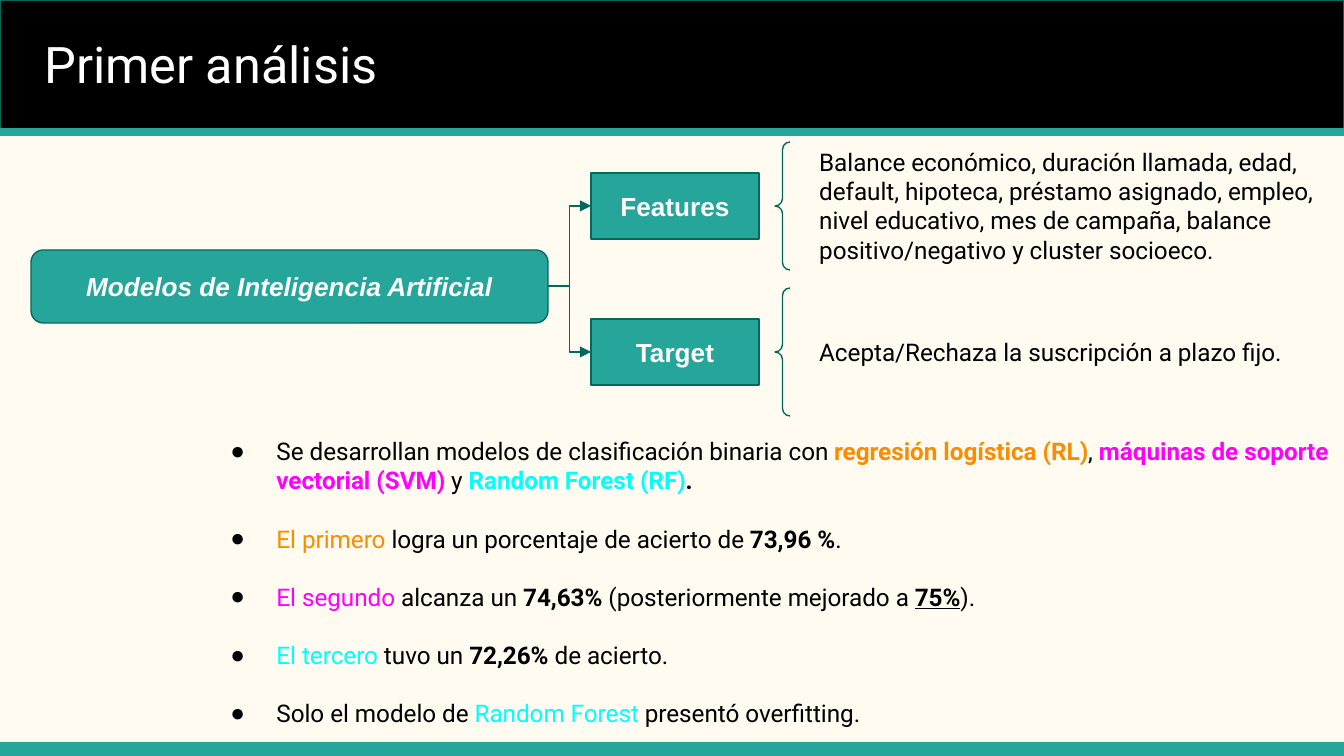
import pptx
import pptx.dml.color
import pptx.enum.shapes
import pptx.enum.text
import pptx.oxml
import pptx.oxml.ns
import pptx.util
from dataclasses import dataclass

SHAPE = pptx.enum.shapes.MSO_SHAPE
ANCHOR = pptx.enum.text.MSO_ANCHOR
ALIGN = pptx.enum.text.PP_ALIGN
PX_PER_INCH = 134.4


@dataclass(frozen=True)
class Theme:
    background: str = "FFFBF0"
    teal: str = "26A69A"
    outline: str = "00695C"
    black: str = "000000"
    white: str = "FFFFFF"
    logistic: str = "FB8C00"
    svm: str = "FF00FF"
    forest: str = "00FFFF"
    body_font: str = "Roboto"
    box_font: str = "Arial"
    title_size: int = 27
    box_size: int = 14
    body_size: int = 13
    bullet_gap: float = 15.6
    line_width: float = 0.75


T = Theme()

# Each bullet is a list of runs: text, colour, style (b = bold, u = underlined).
BULLETS = [
    [("Se desarrollan modelos de clasificación binaria con ", T.black, ""),
     ("regresión logística (RL)", T.logistic, "b"),
     (", ", T.black, ""),
     ("máquinas de soporte vectorial (SVM)", T.svm, "b"),
     (" y ", T.black, ""),
     ("Random Forest (RF)", T.forest, "b"),
     (".", T.black, "b")],
    [("El primero", T.logistic, ""),
     (" logra un porcentaje de acierto de ", T.black, ""),
     ("73,96 %", T.black, "b"),
     (".", T.black, "")],
    [("El segundo", T.svm, ""),
     (" alcanza un ", T.black, ""),
     ("74,63%", T.black, "b"),
     (" (posteriormente mejorado a ", T.black, ""),
     ("75%", T.black, "bu"),
     (").", T.black, "")],
    [("El tercero", T.forest, ""),
     (" tuvo un ", T.black, ""),
     ("72,26%", T.black, "b"),
     (" de acierto.", T.black, "")],
    [("Solo el modelo de ", T.black, ""),
     ("Random Forest", T.forest, ""),
     (" presentó overfitting.", T.black, "")],
]

# Label, middle height, description, top and height of the description.
BRANCHES = [
    ("Features", 206,
     "Balance económico, duración llamada, edad, default, hipoteca, "
     "préstamo asignado, empleo, nivel educativo, mes de campaña, balance "
     "positivo/negativo y cluster socioeco.", 134, 145),
    ("Target", 352, "Acepta/Rechaza la suscripción a plazo fijo.", 324, 56),
]


def px(n):
    return pptx.util.Emu(round(n * 914400 / PX_PER_INCH))


def rgb(color):
    return pptx.dml.color.RGBColor.from_string(color)


def xml(tag, content="", **attrs):
    """Make a DrawingML element."""
    pairs = "".join(f' {k}="{v}"' for k, v in attrs.items())
    ns = pptx.oxml.ns.nsdecls("a")
    return pptx.oxml.parse_xml(f"<a:{tag} {ns}{pairs}>{content}</a:{tag}>")


def format_font(font, name, size, color, bold=False, italic=False):
    font.name = name
    font.size = pptx.util.Pt(size)
    font.color.rgb = rgb(color)
    font.bold = bold
    font.italic = italic


def format_frame(tf, anchor=ANCHOR.TOP):
    tf.word_wrap = True
    tf.auto_size = pptx.enum.text.MSO_AUTO_SIZE.NONE
    tf.vertical_anchor = anchor
    tf.margin_left = tf.margin_right = pptx.util.Inches(0.1)
    tf.margin_top = tf.margin_bottom = pptx.util.Inches(0.1)


def place(sp, x, y, w, h):
    sp.left, sp.top, sp.width, sp.height = map(px, (x, y, w, h))


def add_shape(s, kind, x, y, w, h, fill=None, line=None):
    sp = s.shapes.add_shape(kind, px(x), px(y), px(w), px(h))
    sp.shadow.inherit = False
    if fill:
        sp.fill.solid()
        sp.fill.fore_color.rgb = rgb(fill)
    else:
        sp.fill.background()
    if line:
        sp.line.color.rgb = rgb(line)
        sp.line.width = pptx.util.Pt(T.line_width)
    else:
        sp.line.fill.background()
    return sp


def add_label_box(s, kind, text, x, y, w, h, italic=False):
    sp = add_shape(s, kind, x, y, w, h, T.teal, T.outline)
    tf = sp.text_frame
    format_frame(tf, ANCHOR.MIDDLE)
    tf.text = text
    p = tf.paragraphs[0]
    p.alignment = ALIGN.CENTER
    format_font(p.runs[0].font, T.box_font, T.box_size, T.white, True, italic)


def add_elbow_arrow(s, x1, y1, x2, y2):
    kind = pptx.enum.shapes.MSO_CONNECTOR.ELBOW
    c = s.shapes.add_connector(kind, px(x1), px(y1), px(x2), px(y2))
    c.line.color.rgb = rgb(T.outline)
    c.line.width = pptx.util.Pt(T.line_width)
    c.line._get_or_add_ln().append(xml("tailEnd", type="triangle"))
    c._element.spPr.append(xml("effectLst"))


def add_description(s, text, x, y, w, h):
    tf = s.shapes.add_textbox(px(x), px(y), px(w), px(h)).text_frame
    format_frame(tf)
    tf.text = text
    format_font(tf.paragraphs[0].runs[0].font, T.body_font, T.body_size, T.black)


def add_branch(s, label, mid, text, text_top, text_height):
    add_label_box(s, SHAPE.RECTANGLE, label, 591, mid - 33, 168, 66)
    add_elbow_arrow(s, 548, 286, 591, mid)
    brace = add_shape(s, SHAPE.LEFT_BRACE, 775, mid - 64, 15, 128, line=T.outline)
    brace.adjustments[0] = 0.5
    add_description(s, text, 806, text_top, 528, text_height)


def fill_title(s, text):
    """Write the title and bring it in front of the header band."""
    title = s.shapes.title
    place(title, 31, 20, 595, 90)
    tf = title.text_frame
    format_frame(tf)
    tf.text = text
    p = tf.paragraphs[0]
    p.alignment = ALIGN.LEFT
    format_font(p.runs[0].font, T.body_font, T.title_size, T.white)
    s.shapes._spTree.append(title._element)


def fill_bullets(body, bullets):
    place(body, 196, 423, 1148, 321)
    tf = body.text_frame
    format_frame(tf)
    for i, runs in enumerate(bullets):
        p = tf.add_paragraph() if i else tf.paragraphs[0]
        pPr = p._p.get_or_add_pPr()
        pPr.set("marL", str(px(67)))
        pPr.set("indent", str(px(-46)))
        pPr.append(xml("buClr", f'<a:srgbClr val="{T.black}"/>'))
        pPr.append(xml("buChar", char="●"))
        p.space_before = pptx.util.Pt(T.bullet_gap if i else 0)
        for text, color, style in runs:
            r = p.add_run()
            r.text = text
            format_font(r.font, T.body_font, T.body_size, color, "b" in style)
            r.font.underline = "u" in style


def main():
    prs = pptx.Presentation()
    prs.slide_width, prs.slide_height = px(1344), px(756)
    s = prs.slides.add_slide(prs.slide_layouts[1])
    s.background.fill.solid()
    s.background.fill.fore_color.rgb = rgb(T.background)

    add_shape(s, SHAPE.RECTANGLE, 0, 742, 1344, 14, T.teal)
    add_shape(s, SHAPE.RECTANGLE, 0, 0, 1344, 129, T.black, T.outline)
    add_shape(s, SHAPE.RECTANGLE, 0, 129, 1344, 6, T.teal, T.teal)
    fill_title(s, "Primer análisis")
    fill_bullets(s.placeholders[1], BULLETS)

    add_label_box(s, SHAPE.ROUNDED_RECTANGLE, "Modelos de Inteligencia Artificial",
                  31, 250, 517, 73, italic=True)
    for branch in BRANCHES:
        add_branch(s, *branch)
    prs.save("out.pptx")


if __name__ == "__main__":
    main()
